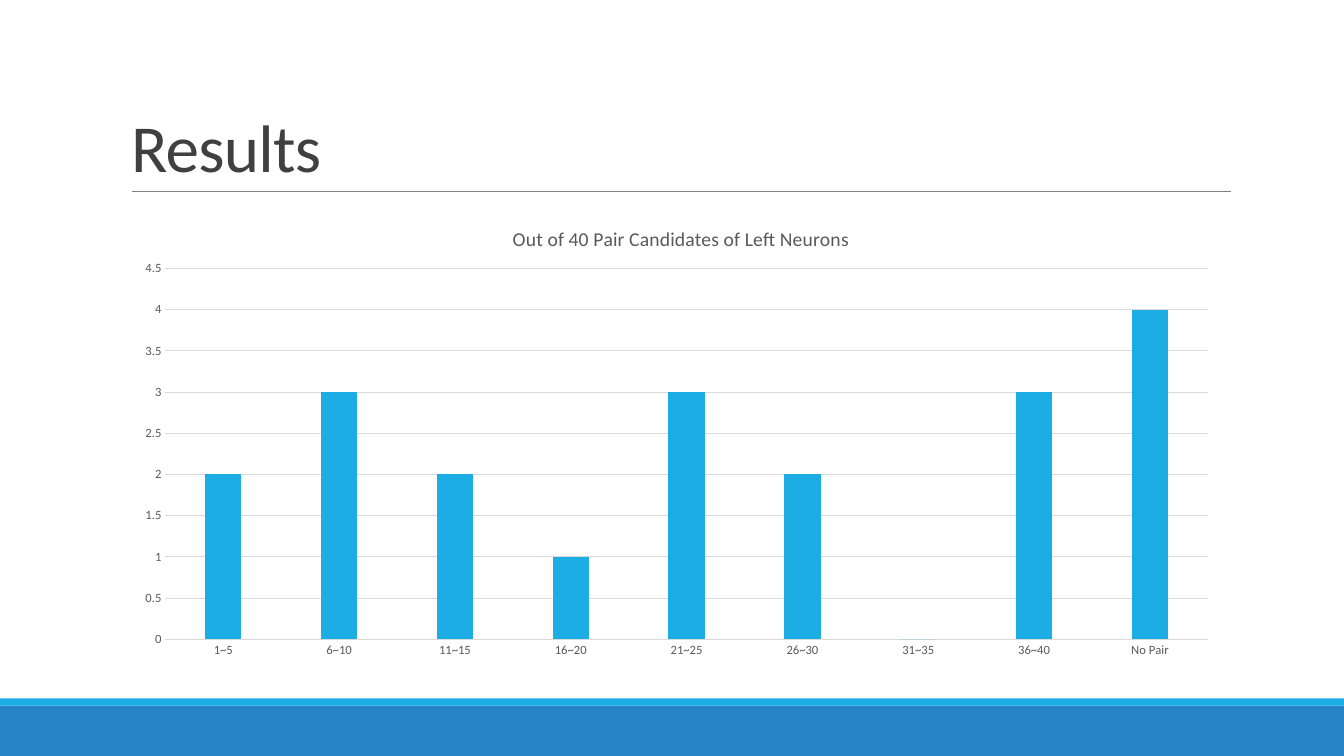
import pptx
import pptx.chart.data
import pptx.dml.color
import pptx.enum.chart
import pptx.enum.shapes
import pptx.enum.text
import pptx.oxml
import pptx.oxml.ns
import pptx.util

Inches = pptx.util.Inches
Pt = pptx.util.Pt
RGBColor = pptx.dml.color.RGBColor

BLUE = RGBColor(0x26, 0x83, 0xC6)
CYAN = RGBColor(0x1C, 0xAD, 0xE4)
RULE_GRAY = RGBColor(0x80, 0x80, 0x80)
TITLE_GRAY = RGBColor(0x40, 0x40, 0x40)
LABEL_GRAY = RGBColor(0x59, 0x59, 0x59)
GRID_GRAY = RGBColor(0xD9, 0xD9, 0xD9)
FONT = "Calibri"
PAGE_WIDTH, PAGE_HEIGHT = 13.33, 7.5

PAIR_COUNTS = {
    "1~5": 2, "6~10": 3, "11~15": 2, "16~20": 1, "21~25": 3,
    "26~30": 2, "31~35": 0, "36~40": 3, "No Pair": 4,
}


def style_font(font, size, color):
    font.name = FONT
    font.size = Pt(size)
    font.bold = False
    font.color.rgb = color


def add_footer_bands(page, left, top, width, height):
    """Thin cyan strip above a blue band."""
    strip = 0.07
    bands = ((top + strip, height - strip, BLUE), (top, strip, CYAN))
    for band_top, band_height, color in bands:
        band = page.shapes.add_shape(
            pptx.enum.shapes.MSO_SHAPE.RECTANGLE,
            Inches(left), Inches(band_top), Inches(width), Inches(band_height))
        band.shadow.inherit = False
        band.fill.solid()
        band.fill.fore_color.rgb = color
        band.line.fill.background()


def add_heading(page, left, top, width, height):
    """Title with a rule along its bottom edge."""
    bottom = Inches(top + height)
    rule = page.shapes.add_connector(
        pptx.enum.shapes.MSO_CONNECTOR.STRAIGHT,
        Inches(left + 0.11), bottom, Inches(left + width + 0.01), bottom)
    rule.line.color.rgb = RULE_GRAY
    rule.line.width = Pt(0.5)
    properties = rule._element.spPr
    properties.append(pptx.oxml.parse_xml(
        f"<a:effectLst {pptx.oxml.ns.nsdecls('a')}/>"))

    title = page.shapes.title
    title.left, title.top = Inches(left), Inches(top)
    title.width, title.height = Inches(width), Inches(height)
    frame = title.text_frame
    frame.word_wrap = True
    frame.vertical_anchor = pptx.enum.text.MSO_ANCHOR.BOTTOM
    para = frame.paragraphs[0]
    para.alignment = pptx.enum.text.PP_ALIGN.LEFT
    para.line_spacing = 0.85
    run = para.add_run()
    run.text = "Results"
    style_font(run.font, 48, TITLE_GRAY)
    run.font._element.set("spc", "-50")


def place_chart_part(part, after, **fractions):
    """Fix a chart part at fractions of the chart's size."""
    for old in part.findall(pptx.oxml.ns.qn("c:layout")):
        part.remove(old)
    target = '<c:layoutTarget val="inner"/>' if "w" in fractions else ""
    modes = "".join(f'<c:{key}Mode val="edge"/>' for key in "xy")
    values = "".join(f'<c:{key} val="{value}"/>' for key, value in fractions.items())
    layout = pptx.oxml.parse_xml(
        f"<c:layout {pptx.oxml.ns.nsdecls('c')}><c:manualLayout>"
        f"{target}{modes}{values}</c:manualLayout></c:layout>")
    if after is None:
        part.insert(0, layout)
    else:
        after.addnext(layout)


def add_pair_chart(page, left, top, width, height):
    """Column chart of the pair ranks."""
    data = pptx.chart.data.CategoryChartData()
    data.categories = list(PAIR_COUNTS)
    data.add_series("Series 1", list(PAIR_COUNTS.values()))
    chart = page.shapes.add_chart(
        pptx.enum.chart.XL_CHART_TYPE.COLUMN_CLUSTERED,
        Inches(left), Inches(top), Inches(width), Inches(height), data).chart
    style_font(chart.font, 10, LABEL_GRAY)
    chart.has_legend = False

    # Chart title
    chart.has_title = True
    run = chart.chart_title.text_frame.paragraphs[0].add_run()
    run.text = "Out of 40 Pair Candidates of Left Neurons"
    style_font(run.font, 14, LABEL_GRAY)
    title = chart.chart_title._element
    place_chart_part(title, title.find(pptx.oxml.ns.qn("c:tx")), x=0.35, y=0.04)

    # Columns
    plot = chart.plots[0]
    plot.gap_width = 219
    plot.overlap = -27
    plot.vary_by_categories = False
    fill = plot.series[0].format.fill
    fill.solid()
    fill.fore_color.rgb = CYAN
    place_chart_part(plot._element.getparent(), None, x=0.04, y=0.14, w=0.94, h=0.8)

    # Axes and gridlines
    for axis in (chart.category_axis, chart.value_axis):
        style_font(axis.tick_labels.font, 9, LABEL_GRAY)
        axis.major_tick_mark = pptx.enum.chart.XL_TICK_MARK.NONE
        axis.minor_tick_mark = pptx.enum.chart.XL_TICK_MARK.NONE
    chart.value_axis.minimum_scale = 0
    chart.value_axis.maximum_scale = 4.5
    chart.value_axis.major_unit = 0.5
    chart.value_axis.has_major_gridlines = True
    chart.value_axis.format.line.fill.background()
    for line in (chart.category_axis.format.line,
                 chart.value_axis.major_gridlines.format.line):
        line.color.rgb = GRID_GRAY
        line.width = Pt(0.75)


def main():
    deck = pptx.Presentation()
    deck.slide_width = Inches(PAGE_WIDTH)
    deck.slide_height = Inches(PAGE_HEIGHT)
    page = deck.slides.add_slide(deck.slide_layouts.get_by_name("Title Only"))
    add_footer_bands(page, 0, 6.93, PAGE_WIDTH, PAGE_HEIGHT - 6.93)
    add_heading(page, 1.2, 0.31, 11, 1.59)
    add_pair_chart(page, 1.2, 2.02, 11, 4.6)
    deck.save("out.pptx")


if __name__ == "__main__":
    main()
